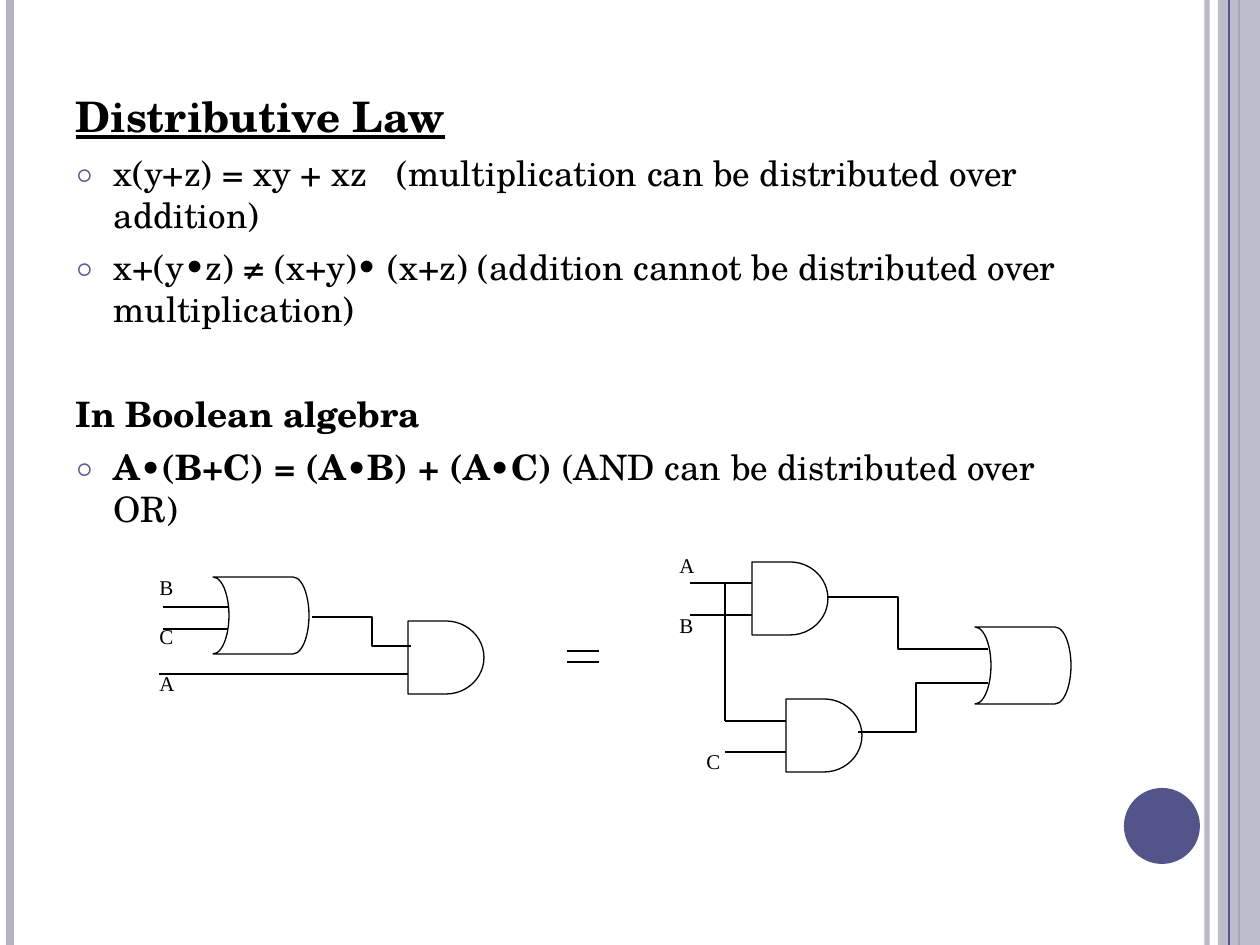
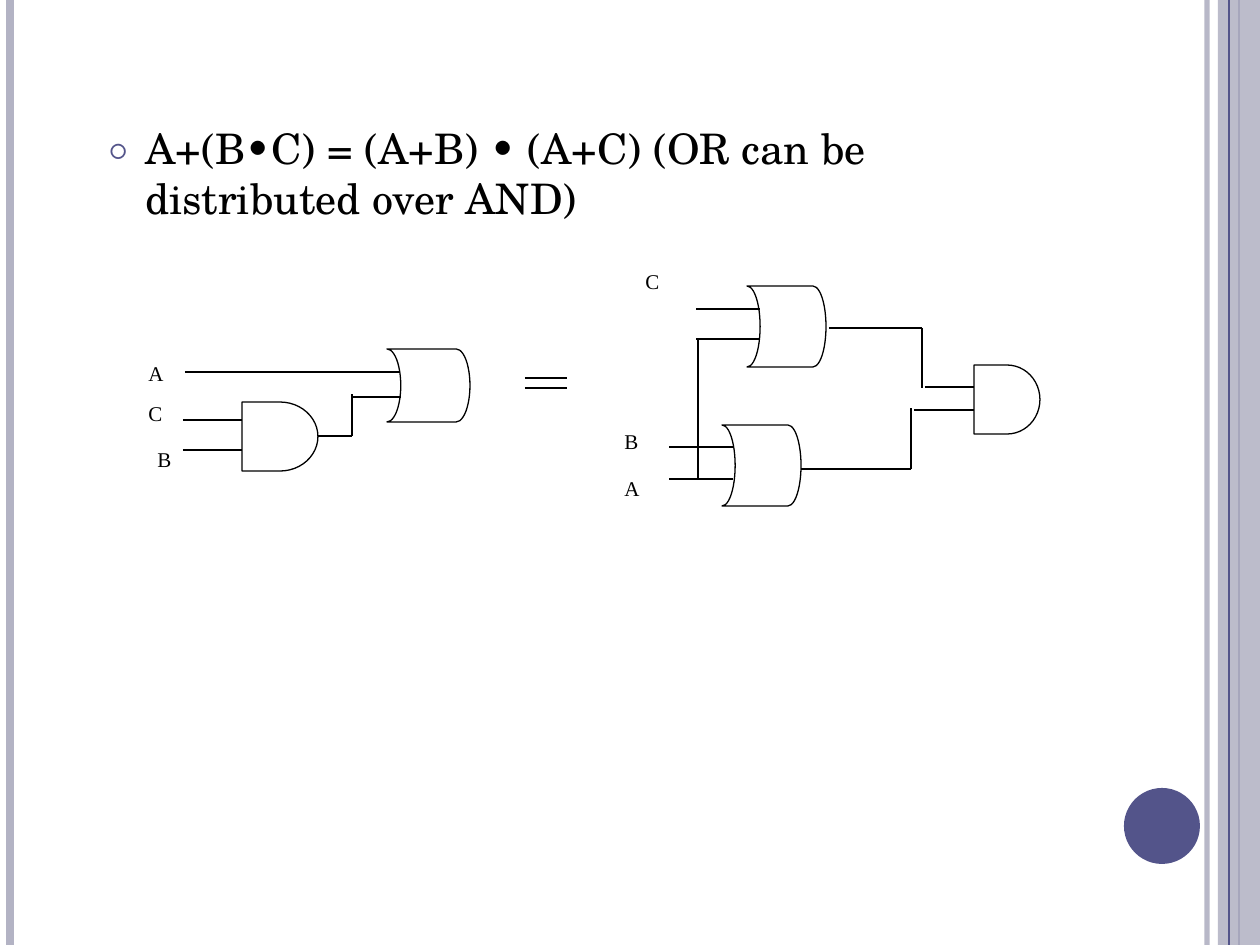
from dataclasses import dataclass

from lxml.etree import SubElement
from pptx import Presentation
from pptx.dml.color import RGBColor
from pptx.enum.shapes import MSO_CONNECTOR, MSO_SHAPE as SHAPE
from pptx.enum.text import MSO_ANCHOR, MSO_AUTO_SIZE, PP_ALIGN
from pptx.oxml.ns import qn
from pptx.util import Pt


@dataclass(frozen=True)
class Theme:
    ink: str = "000000"
    paper: str = "FFFFFF"
    accent: str = "53548A"
    band: str = "B3B3C4"
    body_font: str = "TeX Gyre Schola"
    label_font: str = "Times New Roman"
    heading: int = 24
    body: int = 20
    label: int = 12
    wire: float = 0.75
    gap: int = 6
    section_gap: int = 36


T = Theme()
PX = 914400 / 126
WIDTH, HEIGHT = 1260, 945
HANGING = 38
WIDE_SPACE = 1100

SLIDES = [
    {
        "body": (63, 84, 1029, 808),
        "paragraphs": [
            {"runs": [("Distributive Law", "bu")], "size": T.heading},
            {"runs": [("x(y+z) = xy + xz", ""), (" ", "w"),
                      ("(multiplication can be distributed over addition)", "")],
             "bullet": True},
            {"runs": [("x+(y•z) ≠ (x+y)• (x+z) (addition cannot be distributed "
                       "over multiplication)", "")], "bullet": True},
            {"runs": [("In Boolean algebra", "b")], "before": T.section_gap},
            {"runs": [("A•(B+C) = (A•B) + (A•C) ", "b"),
                      ("(AND can be distributed over OR)", "")], "bullet": True},
        ],
        "circuits": [
            {
                "labels": [("B", 147, 568, 59, 44), ("C", 147, 617, 59, 44),
                           ("A", 147, 664, 66, 48)],
                "gates": [("and", 408, 621, 76, 73), ("or", 213, 577, 96, 77)],
                "wires": [[(163, 607), (228, 607)], [(163, 629), (228, 629)],
                          [(312, 617), (372, 617), (372, 646), (411, 646)],
                          [(159, 674), (408, 674)]],
            },
            {
                "labels": [("A", 667, 546, 60, 55), ("B", 667, 606, 60, 55),
                           ("C", 694, 742, 60, 55)],
                "gates": [("or", 975, 627, 96, 77), ("and", 752, 562, 76, 73),
                          ("and", 786, 699, 76, 73)],
                "wires": [[(690, 583), (752, 583)], [(690, 615), (752, 615)],
                          [(725, 721), (786, 721)], [(725, 752), (786, 752)],
                          [(988, 649), (898, 649), (898, 597), (827, 597)],
                          [(988, 683), (916, 683), (916, 732), (858, 732)],
                          [(725, 583), (725, 721)]],
            },
        ],
        "equals": (567, 599, 651, 662),
    },
    {
        "body": (95, 116, 998, 776),
        "paragraphs": [
            {"runs": [("A+(B•C) = (A+B) • (A+C) (OR can be distributed over AND)", "")],
             "size": T.heading, "bullet": True},
        ],
        "circuits": [
            {
                "labels": [("B", 145, 440, 54, 52), ("A", 136, 354, 49, 45),
                           ("C", 136, 394, 49, 52)],
                "gates": [("and", 242, 402, 76, 69), ("or", 387, 349, 83, 73)],
                "wires": [[(183, 450), (242, 450)], [(183, 420), (242, 420)],
                          [(185, 372), (399, 372)], [(318, 436), (352, 436)],
                          [(352, 436), (352, 394)], [(352, 397), (401, 397)]],
            },
            {
                "labels": [("C", 633, 262, 49, 69), ("A", 612, 469, 49, 47),
                           ("B", 612, 422, 49, 47)],
                "gates": [("or", 722, 425, 79, 81), ("or", 747, 286, 79, 81),
                          ("and", 974, 365, 66, 69)],
                "wires": [[(733, 479), (669, 479)], [(733, 447), (669, 447)],
                          [(760, 339), (696, 339)], [(760, 309), (696, 309)],
                          [(801, 469), (911, 469)], [(911, 469), (911, 408)],
                          [(914, 410), (974, 410)], [(829, 328), (922, 328)],
                          [(922, 328), (922, 388)], [(925, 387), (974, 387)],
                          [(698, 479), (698, 339)]],
            },
        ],
        "equals": (525, 567, 378, 388),
    },
]

GATES = {"and": SHAPE.FLOWCHART_DELAY, "or": SHAPE.FLOWCHART_STORED_DATA}


def px(*lengths):
    return [round(n * PX) for n in lengths]


def rgb(color):
    return RGBColor.from_string(color)


def fade(sp, percent):
    for clr in sp.element.spPr.iter(qn("a:srgbClr")):
        SubElement(clr, qn("a:alpha"), val=str(percent * 1000))


def add_line(shapes, start, end, color=T.ink, width=T.wire):
    line = shapes.add_connector(MSO_CONNECTOR.STRAIGHT, *px(*start, *end))
    line.line.color.rgb = rgb(color)
    line.line.width = Pt(width)
    SubElement(line.element.spPr, qn("a:effectLst"))
    return line


def add_solid(shapes, kind, box, fill, outline=None):
    sp = shapes.add_shape(kind, *px(*box))
    sp.shadow.inherit = False
    sp.fill.solid()
    sp.fill.fore_color.rgb = rgb(fill)
    if outline:
        sp.line.color.rgb = rgb(outline)
        sp.line.width = Pt(T.wire)
    else:
        sp.line.fill.background()
    return sp


def add_run(p, text, font, size, style=""):
    r = p.add_run()
    r.text = text
    r.font.name = font
    r.font.size = Pt(size)
    r.font.color.rgb = rgb(T.ink)
    r.font.bold = "b" in style
    r.font.underline = "u" in style
    if "w" in style:
        r.font._element.set("spc", str(WIDE_SPACE))


def add_frame(shapes):
    fade(add_line(shapes, (1207, 0), (1207, HEIGHT), T.band, 3), 93)
    add_line(shapes, (10, 0), (10, HEIGHT), T.band, 4.5)
    add_line(shapes, (1239, 0), (1239, HEIGHT), T.accent, 1.5)
    fade(add_solid(shapes, SHAPE.RECTANGLE, (1218, 0, 42, HEIGHT), T.band), 87)
    add_line(shapes, (1229, 0), (1229, HEIGHT), T.accent)
    add_solid(shapes, SHAPE.OVAL, (1124, 788, 76, 76), T.accent)


def set_bullet(p, bullet):
    pPr = p._p.get_or_add_pPr()
    pPr.set("marL", str(px(HANGING)[0]))
    pPr.set("indent", str(px(-HANGING)[0]))
    if not bullet:
        SubElement(pPr, qn("a:buNone"))
        return
    SubElement(SubElement(pPr, qn("a:buClr")), qn("a:srgbClr"), val=T.accent)
    SubElement(pPr, qn("a:buSzPct"), val="70000")
    SubElement(pPr, qn("a:buFont"), typeface=T.body_font)
    SubElement(pPr, qn("a:buChar"), char="○")


def fill_body(sp, box, paragraphs):
    sp.left, sp.top, sp.width, sp.height = px(*box)
    tf = sp.text_frame
    tf.word_wrap = True
    tf.auto_size = MSO_AUTO_SIZE.NONE
    tf.vertical_anchor = MSO_ANCHOR.TOP
    for i, item in enumerate(paragraphs):
        p = tf.add_paragraph() if i else tf.paragraphs[0]
        p.alignment = PP_ALIGN.LEFT
        p.space_before = Pt(item.get("before", T.gap))
        set_bullet(p, item.get("bullet"))
        for text, style in item["runs"]:
            add_run(p, text, T.body_font, item.get("size", T.body), style)


def add_label(shapes, text, *box):
    tf = add_solid(shapes, SHAPE.RECTANGLE, box, T.paper).text_frame
    tf.word_wrap = True
    tf.vertical_anchor = MSO_ANCHOR.TOP
    p = tf.paragraphs[0]
    p.alignment = PP_ALIGN.LEFT
    add_run(p, text, T.label_font, T.label)


def add_gate(shapes, kind, *box):
    sp = add_solid(shapes, GATES[kind], box, T.paper, T.ink)
    if kind == "or":
        sp.element.spPr.find(qn("a:xfrm")).set("flipH", "1")


def add_wire(shapes, points):
    if len(points) == 2:
        add_line(shapes, *points)
        return
    builder = shapes.build_freeform(*points[0], scale=PX)
    builder.add_line_segments(points[1:], close=False)
    sp = builder.convert_to_shape()
    sp.shadow.inherit = False
    sp.fill.background()
    sp.line.color.rgb = rgb(T.ink)
    sp.line.width = Pt(T.wire)


def add_circuit(shapes, circuit):
    group = shapes.add_group_shape().shapes
    for label in circuit["labels"]:
        add_label(group, *label)
    for gate in circuit["gates"]:
        add_gate(group, *gate)
    for points in circuit["wires"]:
        add_wire(group, points)


def add_slide(prs, content):
    s = prs.slides.add_slide(prs.slide_layouts[1])
    title = s.shapes.title.element
    title.getparent().remove(title)
    add_frame(s.shapes)
    fill_body(s.placeholders[1], content["body"], content["paragraphs"])
    for circuit in content["circuits"]:
        add_circuit(s.shapes, circuit)
    left, right, *rows = content["equals"]
    for y in rows:
        add_line(s.shapes, (left, y), (right, y))


def main():
    prs = Presentation()
    prs.slide_width, prs.slide_height = px(WIDTH, HEIGHT)
    for content in SLIDES:
        add_slide(prs, content)
    prs.save("out.pptx")


if __name__ == "__main__":
    main()
